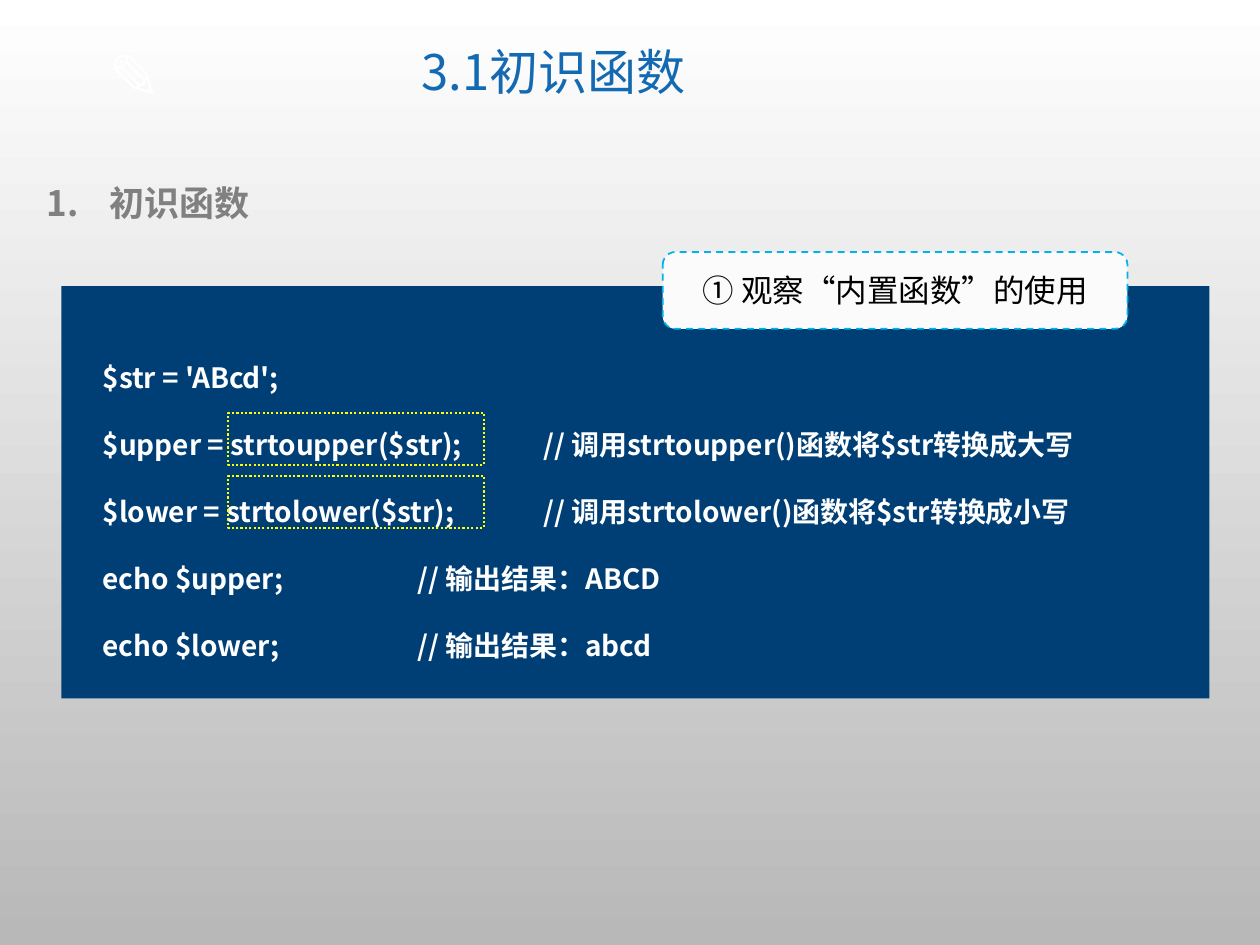
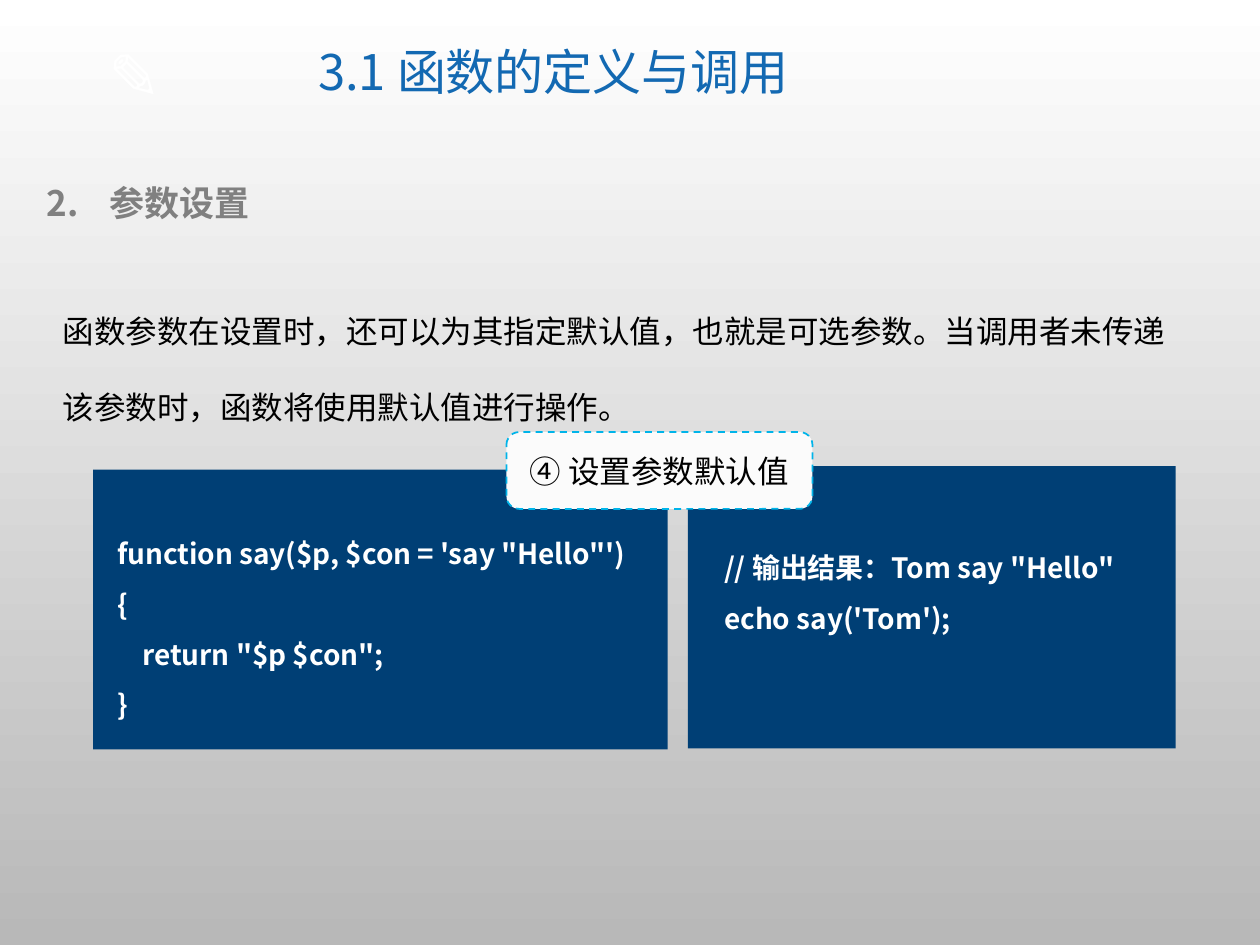
from lxml import etree
from pptx import Presentation
from pptx.dml.color import RGBColor
from pptx.enum.dml import MSO_LINE
from pptx.enum.shapes import MSO_SHAPE
from pptx.enum.text import MSO_ANCHOR, PP_ALIGN
from pptx.oxml.ns import qn
from pptx.util import Cm, Pt

WHITE = RGBColor(0xFF, 0xFF, 0xFF)
SILVER = RGBColor(0xB8, 0xB8, 0xB8)
GRAY = RGBColor(0x80, 0x80, 0x80)
BLACK = RGBColor(0, 0, 0)
BLUE = RGBColor(0x13, 0x69, 0xB2)
NAVY = RGBColor(0, 0x3F, 0x75)
CYAN = RGBColor(0, 0xB4, 0xE9)
PALE = RGBColor(0xFB, 0xFB, 0xFB)
YELLOW = RGBColor(0xFF, 0xFF, 0)

SANS = "Noto Sans CJK SC"
RECT, ROUND = MSO_SHAPE.RECTANGLE, MSO_SHAPE.ROUNDED_RECTANGLE
DASH, DOT = MSO_LINE.DASH, MSO_LINE.ROUND_DOT
CENTER, MIDDLE = PP_ALIGN.CENTER, MSO_ANCHOR.MIDDLE


def style(par, size, color, bold=False, face=SANS, align=None, gap=None):
    """Set the font, alignment and line spacing of a paragraph."""
    font = par.font
    font.size, font.bold, font.name = Pt(size), bold, face
    font.color.rgb = color
    latin = font._element.find(qn("a:latin"))
    asian = etree.Element(qn("a:ea"), typeface=SANS)
    latin.addnext(asian)
    par.alignment, par.line_spacing = align, gap


def write(shapes, box, lines, size, color, **look):
    """Add a wrapped text box with one paragraph per line."""
    frame = shapes.add_textbox(*map(Cm, box)).text_frame
    frame.word_wrap = True
    for i, line in enumerate(lines):
        par = frame.add_paragraph() if i else frame.paragraphs[0]
        par.text = line
        style(par, size, color, **look)
    return frame


def block(shapes, kind, box, fill=None, line=None, width=1, dash=None):
    """Add a flat preset shape."""
    shape = shapes.add_shape(kind, *map(Cm, box))
    shape.shadow.inherit = False
    if fill is None:
        shape.fill.background()
    else:
        shape.fill.solid()
        shape.fill.fore_color.rgb = fill
    if line is None:
        shape.line.fill.background()
    else:
        shape.line.color.rgb = line
        shape.line.width = Pt(width)
        shape.line.dash_style = dash
    return shape


def heading(shapes, box, text, start):
    """Add the numbered section heading."""
    frame = shapes.add_textbox(*map(Cm, box)).text_frame
    frame.word_wrap = True
    par = frame.paragraphs[0]
    par.text = text
    props = par._p.get_or_add_pPr()
    props.set("marL", str(Cm(1.27)))
    props.set("indent", str(-Cm(1.27)))
    etree.SubElement(props, qn("a:buAutoNum"),
                     type="arabicPeriod", startAt=str(start))
    style(par, 20, GRAY, bold=True)


def base(deck, title, topic, start):
    """Add a slide with its backdrop, pencil, title and heading."""
    slide = deck.slides.add_slide(deck.slide_layouts[6])
    fill = slide.background.fill
    fill.gradient()
    fill.gradient_angle = 270
    for stop, color, place in zip(fill.gradient_stops, (WHITE, SILVER), (0, 1)):
        stop.color.rgb, stop.position = color, place
    shapes = slide.shapes
    write(shapes, (1.93, 0.61, 2.18, 1.8), ["✎"], 36, WHITE, bold=True)
    frame = write(shapes, (4.6, 0.43, 13.11, 2.16), [title], 28, BLUE,
                  align=CENTER, gap=0.9)
    frame.vertical_anchor = MIDDLE
    heading(shapes, (0.69, 3.53, 23.42, 1.12), topic, start)
    return shapes


def code(shapes, box, inset, lines, gap):
    """Add a navy panel holding code, inset from its top left corner."""
    group = shapes.add_group_shape().shapes
    block(group, RECT, box, NAVY)
    x, y, w, h = box
    dx, dy = inset
    write(group, (x + dx, y + dy, w - dx, h - dy), lines, 16, WHITE,
          bold=True, gap=gap)


def label(shapes, box, text):
    """Add a rounded, dashed caption."""
    shape = block(shapes, ROUND, box, PALE, CYAN, 1, DASH)
    frame = shape.text_frame
    frame.word_wrap, frame.vertical_anchor = True, MIDDLE
    par = frame.paragraphs[0]
    par.text = text
    style(par, 18, BLACK, face="Calibri", align=CENTER)


def intro(deck):
    """Build the slide on built-in functions."""
    shapes = base(deck, "3.1初识函数", "初识函数", 1)
    code(shapes, (1.24, 5.77, 23.14, 8.31), (0.58, 0.69), [
        "$str = 'ABcd';",
        "$upper = strtoupper($str);\t\t// 调用strtoupper()函数将$str转换成大写",
        "$lower = strtolower($str);\t\t// 调用strtolower()函数将$str转换成小写",
        "echo $upper;\t\t\t// 输出结果：ABCD",
        "echo $lower;\t\t\t// 输出结果：abcd",
    ], 2.0)
    for row in range(2):
        block(shapes, RECT, (4.6, 8.33 + row * 1.27, 5.16, 1.04),
              line=YELLOW, width=1.25, dash=DOT)
    label(shapes, (13.36, 5.08, 9.37, 1.55), "① 观察“内置函数”的使用")


def params(deck):
    """Build the slide on default parameter values."""
    shapes = base(deck, "3.1 函数的定义与调用", "参数设置", 2)
    write(shapes, (1.02, 5.41, 23.34, 3.33), [
        "函数参数在设置时，还可以为其指定默认值，也就是可选参数。"
        "当调用者未传递该参数时，函数将使用默认值进行操作。"
    ], 18, BLACK, face="Arial", gap=2.0)
    code(shapes, (13.87, 9.4, 9.83, 5.69), (0.48, 1.24), [
        '// 输出结果：Tom say "Hello"',
        "echo say('Tom');",
    ], 1.5)
    code(shapes, (1.88, 9.47, 11.58, 5.64), (0.23, 0.89), [
        "function say($p, $con = 'say \"Hello\"')",
        "{",
        '    return "$p $con";',
        "}",
    ], 1.5)
    label(shapes, (10.21, 8.71, 6.17, 1.55), "④ 设置参数默认值")


def main():
    """Build and save the deck."""
    deck = Presentation()
    deck.slide_width, deck.slide_height = Cm(25.4), Cm(19.05)
    intro(deck)
    params(deck)
    deck.save("out.pptx")


if __name__ == "__main__":
    main()
